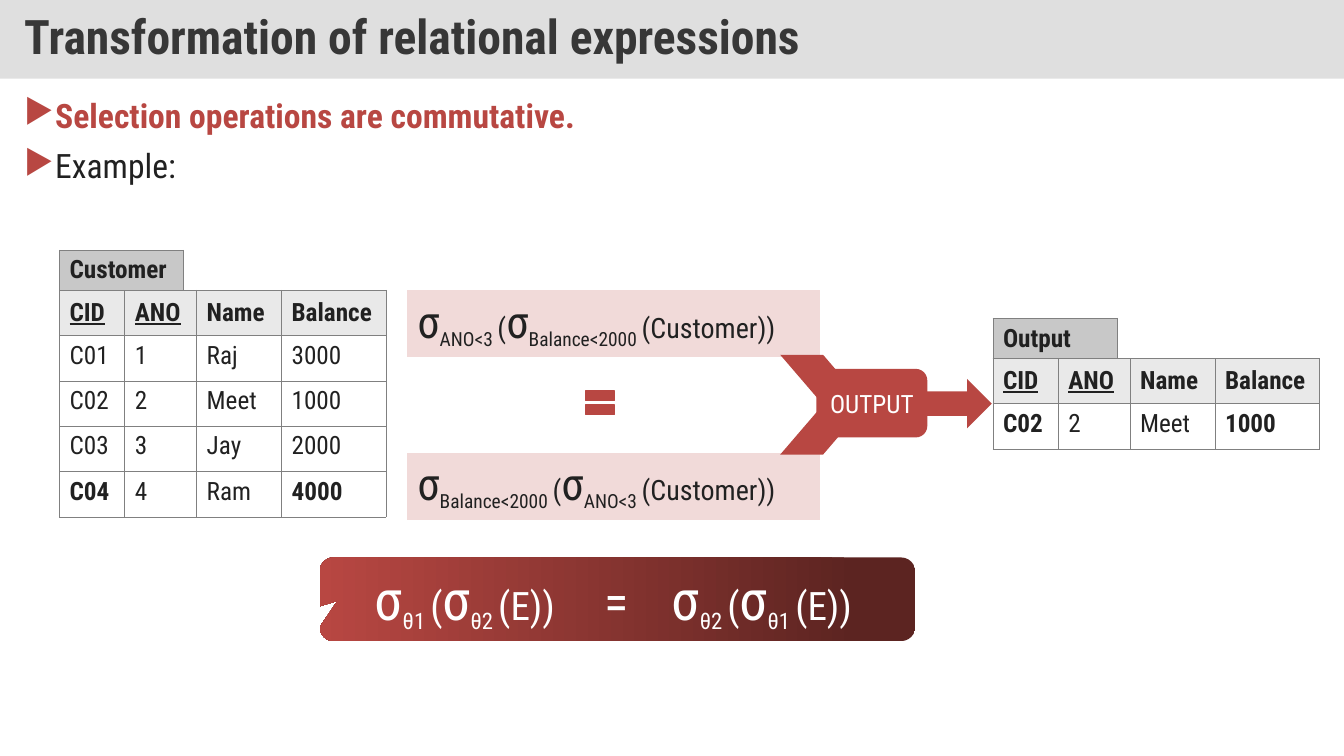
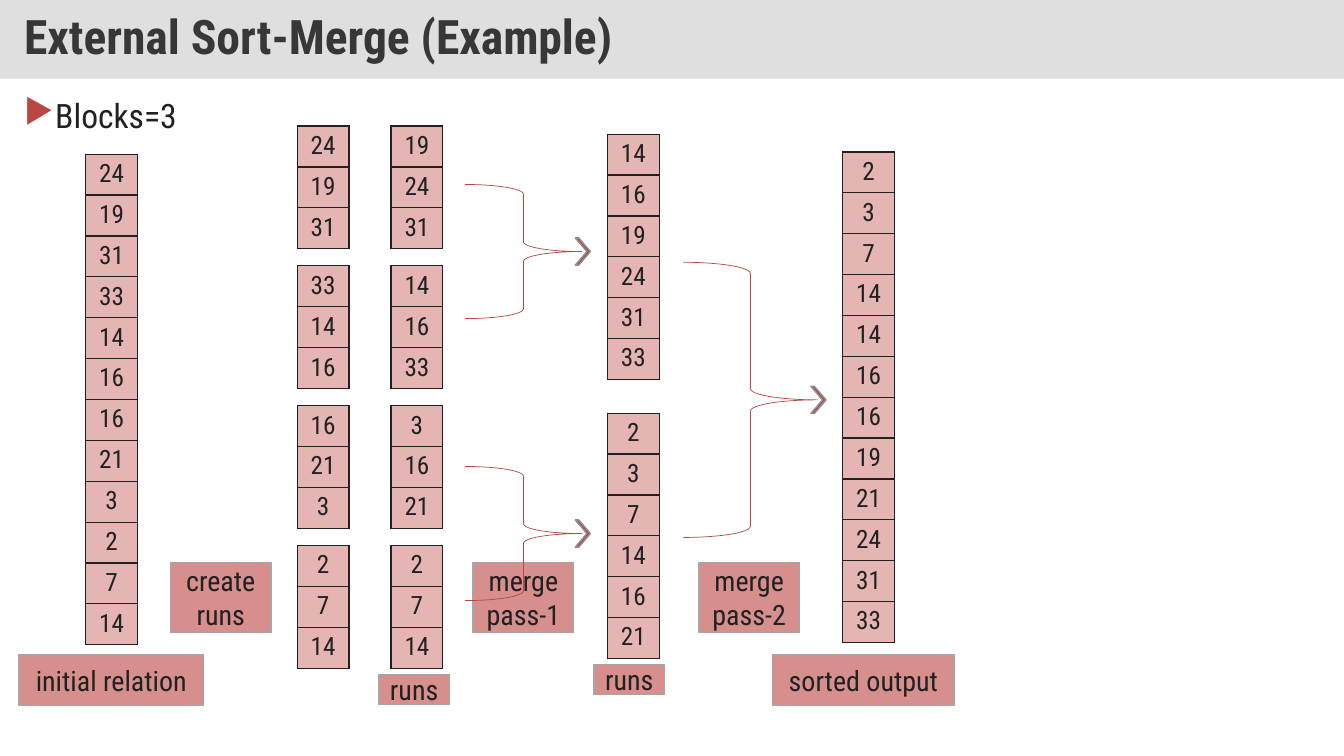
"""Build two slides on relational expressions and external sort-merge."""
import collections

import pptx
import pptx.dml.color
import pptx.enum.shapes
import pptx.enum.text
import pptx.oxml
import pptx.oxml.ns
import pptx.util

RGBColor = pptx.dml.color.RGBColor
Shape = pptx.enum.shapes.MSO_SHAPE
Align = pptx.enum.text.PP_ALIGN
Anchor = pptx.enum.text.MSO_ANCHOR

INK = RGBColor(0x21, 0x21, 0x21)
TITLE_INK = RGBColor(0x37, 0x37, 0x37)
WHITE = RGBColor(0xFF, 0xFF, 0xFF)
RED = RGBColor(0xB8, 0x47, 0x42)
DARK_RED = RGBColor(0x5C, 0x24, 0x21)
ROSE = RGBColor(0xD6, 0x8F, 0x8C)
PINK = RGBColor(0xE4, 0xB5, 0xB2)
PALE_PINK = RGBColor(0xF1, 0xDA, 0xD9)
BAND_GREY = RGBColor(0xC0, 0xC0, 0xC0)
LABEL_GREY = RGBColor(0xC8, 0xC8, 0xC8)
HEADER_GREY = RGBColor(0xE9, 0xE9, 0xE9)
BORDER_GREY = RGBColor(0x80, 0x80, 0x80)
BOX_GREY = RGBColor(0xA6, 0xA6, 0xA6)
ARROW_GREY = RGBColor(0x90, 0x90, 0x90)
FONT = "Roboto Condensed"
NAMESPACE = pptx.oxml.ns.nsdecls("a")

deck = pptx.Presentation()
deck.slide_width = pptx.util.Inches(13.3333)
deck.slide_height = pptx.util.Inches(7.5)
COLUMN = deck.slide_width / 100
ROW = deck.slide_height / 100


def grid(left, top, width, height):
    """Turn hundredths of the slide into lengths."""
    pairs = zip((left, top, width, height), (COLUMN, ROW, COLUMN, ROW))
    return [pptx.util.Emu(round(count * unit)) for count, unit in pairs]


def write(para, text, size=18, color=INK, bold=False, underline=False,
          lowered=False, align=Align.LEFT):
    """Add one formatted span of text to a paragraph."""
    para.alignment = align
    span = para.add_run()
    span.text = text
    span.font.name = FONT
    span.font.size = pptx.util.Pt(size)
    span.font.bold = bold
    span.font.underline = underline
    span.font.color.rgb = color
    if lowered:
        span.font._element.set("baseline", "-25000")


pages = []
for title, bullets in [
    ("Transformation of relational expressions",
     [("Selection operations are commutative.", RED, True),
      ("Example:", INK, False)]),
    ("External Sort-Merge (Example)", [("Blocks=3", INK, False)]),
]:
    page = deck.slides.add_slide(deck.slide_layouts[5])
    pages.append(page)
    band = page.shapes.title
    band.left, band.top, band.width, band.height = grid(0, 0, 100, 10.4)
    band.fill.solid()
    band.fill.fore_color.rgb = BAND_GREY
    color_element = band.fill._xPr.find(".//" + pptx.oxml.ns.qn("a:srgbClr"))
    color_element.append(pptx.oxml.parse_xml(f'<a:alpha {NAMESPACE} val="50000"/>'))
    frame = band.text_frame
    frame.word_wrap = True
    frame.auto_size = pptx.enum.text.MSO_AUTO_SIZE.NONE
    frame.vertical_anchor = Anchor.MIDDLE
    frame.margin_left = frame.margin_right = pptx.util.Inches(0.24)
    frame.margin_top = frame.margin_bottom = pptx.util.Inches(0.12)
    frame.paragraphs[0].line_spacing = 0.9
    write(frame.paragraphs[0], title, size=34, color=TITLE_INK, bold=True)

    frame = page.shapes.add_textbox(*grid(1.05, 12.53, 97.9, 81.5)).text_frame
    frame.word_wrap = True
    for index, (text, color, bold) in enumerate(bullets):
        para = frame.add_paragraph() if index else frame.paragraphs[0]
        properties = para._p.get_or_add_pPr()
        properties.set("marL", str(pptx.util.Inches(0.29)))
        properties.set("indent", str(-pptx.util.Inches(0.29)))
        for bullet in (f'<a:buClr {NAMESPACE}><a:srgbClr val="{RED}"/></a:buClr>',
                       f'<a:buChar {NAMESPACE} char="▶"/>'):
            properties.append(pptx.oxml.parse_xml(bullet))
        para.line_spacing = 0.9
        if index:
            para.space_before = pptx.util.Pt(10)
        write(para, text, size=24, color=color, bold=bold, align=Align.JUSTIFY)

algebra, sorting = pages

Style = collections.namedtuple("Style", "width row_height shares first rest border points")
DATA = Style(24.3, 6, (0.2, 0.22, 0.26, 0.32), HEADER_GREY, WHITE, BORDER_GREY, 0.5)
LABEL = Style(9.23, 5.3, (1,), LABEL_GREY, LABEL_GREY, BORDER_GREY, 0.5)
FORMULA = Style(30.68, 8.53, (1,), PALE_PINK, PALE_PINK, None, 0)
STACK = Style(3.85, 5.41, (1,), PINK, PINK, INK, 1)

header = ("CID", "ANO", "Name", "Balance")
customers = [header, ("C01", "1", "Raj", "3000"), ("C02", "2", "Meet", "1000"),
             ("C03", "3", "Jay", "2000"), ("C04", "4", "Ram", "4000")]
tables = [
    (algebra, DATA, 4.43, 38.4, customers),
    (algebra, LABEL, 4.43, 33.1, [("Customer",)]),
    (algebra, DATA, 73.88, 47.4, [header, customers[2]]),
    (algebra, LABEL, 73.88, 42.1, [("Output",)]),
    (algebra, FORMULA, 30.3, 38.4, [("",)]),
    (algebra, FORMULA, 30.3, 59.87, [("",)]),
]

initial = [24, 19, 31, 33, 14, 16, 16, 21, 3, 2, 7, 14]
stacks = [(6.38, 20.4, initial), (62.7, 20.1, sorted(initial))]
for index in range(4):
    run = initial[index * 3:index * 3 + 3]
    top = 16.67 + 18.5 * index
    stacks += [(22.12, top, run), (29.1, top, sorted(run))]
for index in range(2):
    stacks.append((45.2, 17.75 + 36.9 * index, sorted(initial[index * 6:index * 6 + 6])))
tables += [(sorting, STACK, left, top, [(str(value),) for value in values])
           for left, top, values in stacks]

formula_paras = []
for page, style, left, top, rows in tables:
    area = grid(left, top, style.width, style.row_height * len(rows))
    table = page.shapes.add_table(len(rows), len(style.shares), *area).table
    table.first_row = table.horz_banding = False
    for column, share in zip(table.columns, style.shares):
        column.width = round(area[2] * share)
    for row_index, row in enumerate(rows):
        table.rows[row_index].height = round(ROW * style.row_height)
        for column_index, text in enumerate(row):
            cell = table.cell(row_index, column_index)
            paint = "<a:noFill/>"
            if style.border:
                paint = f'<a:solidFill><a:srgbClr val="{style.border}"/></a:solidFill>'
            for side in "LRTB":
                cell._tc.get_or_add_tcPr().append(pptx.oxml.parse_xml(
                    f'<a:ln{side} {NAMESPACE} w="{pptx.util.Pt(style.points)}">'
                    f"{paint}</a:ln{side}>"))
            cell.fill.solid()
            cell.fill.fore_color.rgb = style.rest if row_index else style.first
            if style in (LABEL, FORMULA) or (style is DATA and row_index == 0):
                cell.vertical_anchor = Anchor.MIDDLE
            para = cell.text_frame.paragraphs[0]
            if style is FORMULA:
                formula_paras.append(para)
                continue
            is_header = style is DATA and row_index == 0
            is_strong = (style is DATA and row_index == len(rows) - 1
                         and column_index in (0, 3))
            write(para, text, bold=style is LABEL or is_header or is_strong,
                  underline=is_header and column_index < 2,
                  align=Align.CENTER if style is STACK else Align.LEFT)

shapes = [
    (algebra, Shape.MATH_EQUAL, (43.2, 50.67, 2.93, 5.2), RED, RED, 1, ""),
    (algebra, Shape.CHEVRON, (58.05, 46.93, 6.38, 13.2), RED, None, 0, ""),
    (algebra, Shape.ROUNDED_RECTANGLE, (60.75, 48.8, 8.25, 9.07), RED, None, 0, "OUTPUT"),
    (algebra, Shape.RIGHT_ARROW, (68.1, 50.13, 5.7, 6.53), RED, None, 0, ""),
]
for area, text in [
    ((1.43, 86.6, 13.72, 6.7), "initial relation"),
    ((57.5, 86.6, 13.5, 6.7), "sorted output"),
    ((28.2, 89.2, 5.25, 4), "runs"),
    ((44.2, 87.9, 5.25, 4), "runs"),
    ((35.2, 74.4, 7.5, 9.3), "merge\npass-1"),
    ((52, 74.4, 7.5, 9.3), "merge\npass-2"),
    ((12.68, 74.4, 7.5, 9.3), "create\nruns"),
]:
    shapes.append((sorting, Shape.RECTANGLE, area, ROSE, BOX_GREY, 1, text))
for left, top, width, height in [(34.6, 24.4, 8.7, 17.75), (34.6, 61.7, 8.7, 17.75),
                                 (50.85, 34.7, 9.98, 36.4)]:
    tip = (left + width - 0.5, top + height / 2 - 1.8, 1.13, 3.6)
    shapes += [
        (sorting, Shape.RIGHT_BRACE, (left, top, width, height), None, RED, 0.5, ""),
        (sorting, Shape.CHEVRON, tip, RED, ARROW_GREY, 1, ""),
    ]

for page, kind, area, fill, line, points, text in shapes:
    box = page.shapes.add_shape(kind, *grid(*area))
    box.shadow.inherit = False
    if fill:
        box.fill.solid()
        box.fill.fore_color.rgb = fill
    else:
        box.fill.background()
    if line:
        box.line.color.rgb = line
        box.line.width = pptx.util.Pt(points)
    else:
        box.line.fill.background()
    if kind == Shape.CHEVRON and line:
        box.adjustments[0] = 0.77
    if text:
        frame = box.text_frame
        frame.vertical_anchor = Anchor.MIDDLE
        frame.margin_left = frame.margin_right = 0
        on_red = fill == RED
        for index, words in enumerate(text.split("\n")):
            para = frame.add_paragraph() if index else frame.paragraphs[0]
            write(para, words, size=18 if on_red else 20,
                  color=WHITE if on_red else INK, align=Align.CENTER)

callout = algebra.shapes.add_shape(Shape.ROUNDED_RECTANGULAR_CALLOUT,
                                   *grid(23.78, 73.73, 44.33, 11.07))
callout.shadow.inherit = False
callout.line.fill.background()
for index, value in enumerate((-0.47, 0.02, 0.17)):
    callout.adjustments[index] = value
callout.fill.gradient()
callout.fill.gradient_angle = 180
for stop, color, position in zip(callout.fill.gradient_stops, (DARK_RED, RED), (0.1, 1)):
    stop.color.rgb = color
    stop.position = position
callout.text_frame.vertical_anchor = Anchor.MIDDLE
callout.text_frame.margin_left = round(COLUMN * 3.8)
callout.text_frame.margin_right = 0
rule = callout.text_frame.paragraphs[0]
stops = "".join(f'<a:tab pos="{round(COLUMN * place)}" algn="l"/>' for place in (17.1, 22.1))
rule._p.get_or_add_pPr().append(
    pptx.oxml.parse_xml(f"<a:tabLst {NAMESPACE}>{stops}</a:tabLst>"))

for para, outer, inner, operand, sizes, color in [
    (formula_paras[0], "ANO<3 ", "Balance<2000 ", "(Customer))", (32, 24, 20), INK),
    (formula_paras[1], "Balance<2000 ", "ANO<3 ", "(Customer))", (32, 24, 20), INK),
    (rule, "θ1 ", "θ2 ", "(E))", (40, 28, 28), WHITE),
    (rule, "θ2 ", "θ1 ", "(E))", (40, 28, 28), WHITE),
]:
    if para.runs:
        write(para, "\t=\t", size=36, color=color)
    sigma_size, condition_size, size = sizes
    for condition, following in ((outer, "("), (inner, operand)):
        write(para, "σ", size=sigma_size, color=color)
        write(para, condition, size=condition_size, color=color, lowered=True)
        write(para, following, size=size, color=color)

deck.save("out.pptx")
